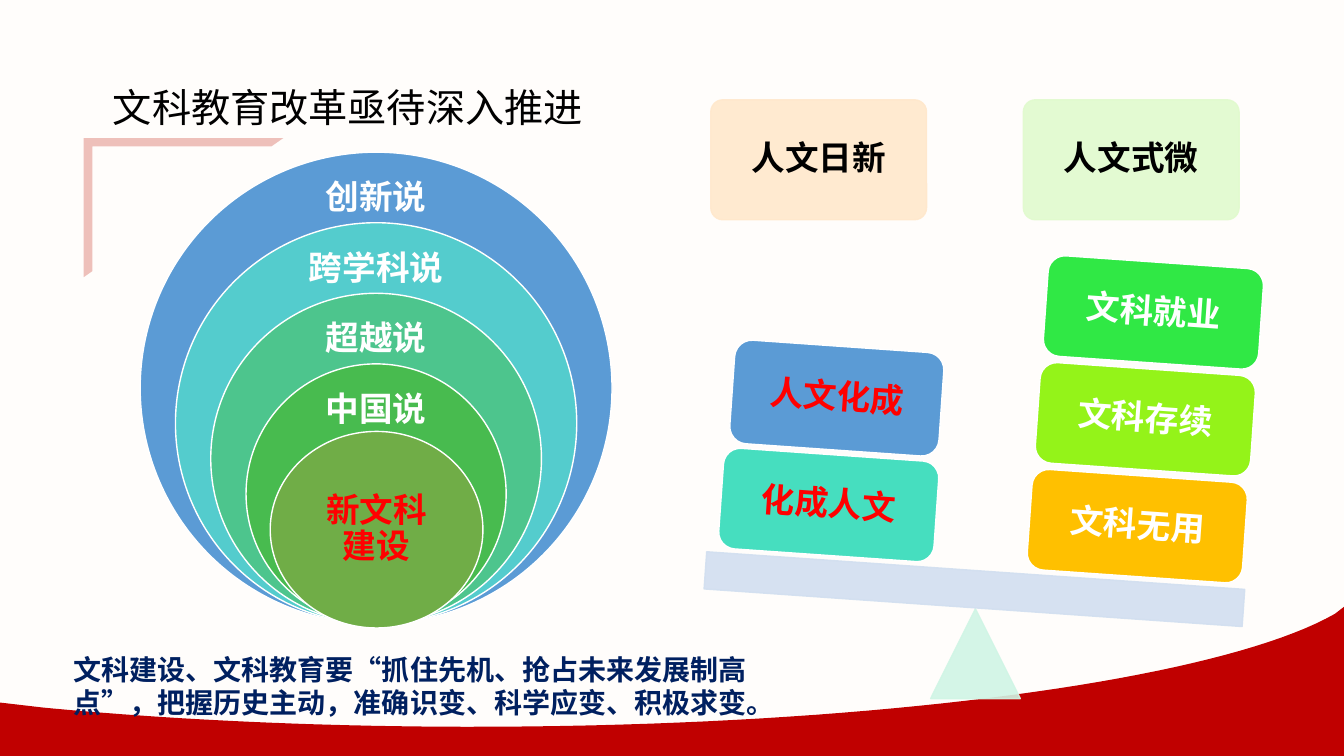
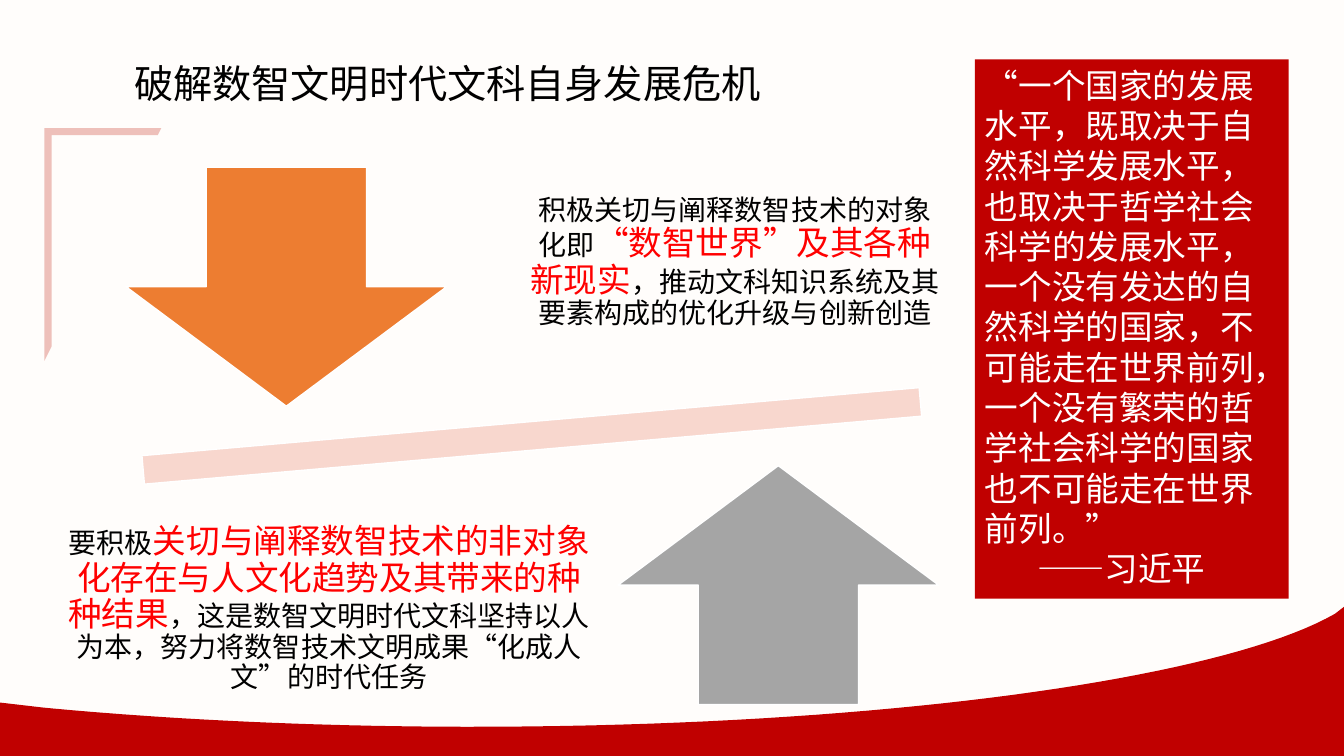
from collections import namedtuple

from lxml.etree import SubElement
from pptx import Presentation
from pptx.dml.color import RGBColor
from pptx.enum.lang import MSO_LANGUAGE_ID
from pptx.enum.shapes import MSO_SHAPE
from pptx.enum.text import MSO_ANCHOR, MSO_AUTO_SIZE, PP_ALIGN
from pptx.oxml.ns import qn
from pptx.util import Inches, Pt

Box = namedtuple("Box", "left top width height")

FONT = "Noto Sans CJK SC"
CREAM = RGBColor(0xFF, 0xFD, 0xFB)
CRIMSON = RGBColor(0xC0, 0x00, 0x00)
ROSE = RGBColor(0xEE, 0xC0, 0xBA)
WHITE = RGBColor(0xFF, 0xFF, 0xFF)
BLACK = RGBColor(0x00, 0x00, 0x00)
RED = RGBColor(0xFF, 0x00, 0x00)
NAVY = RGBColor(0x00, 0x20, 0x60)
BLUE = RGBColor(0x5B, 0x9B, 0xD5)
TEAL = RGBColor(0x54, 0xCC, 0xCD)
JADE = RGBColor(0x4D, 0xC5, 0x8D)
GREEN = RGBColor(0x48, 0xBB, 0x4F)
OLIVE = RGBColor(0x70, 0xAD, 0x47)
PEACH = RGBColor(0xFF, 0xE8, 0xCC)
PALE_LIME = RGBColor(0xE1, 0xFA, 0xCE)
MINT = RGBColor(0xD0, 0xF5, 0xE5)
PALE_BLUE = RGBColor(0xD2, 0xDF, 0xF0)
AMBER = RGBColor(0xFF, 0xC0, 0x00)
LIME = RGBColor(0x94, 0xF3, 0x19)
BRIGHT_GREEN = RGBColor(0x30, 0xE8, 0x45)
TURQUOISE = RGBColor(0x46, 0xDE, 0xBF)
BLUSH = RGBColor(0xF8, 0xD7, 0xCE)
ORANGE = RGBColor(0xED, 0x7D, 0x31)
GRAY = RGBColor(0xA5, 0xA5, 0xA5)

LABEL = {"size": Pt(24), "bold": True}
PLAIN = {"size": Pt(20), "bold": False}
STRESS = {"size": Pt(24), "bold": False}
HEADING = {"size": Pt(28), "bold": False}
STATEMENT = {"size": Pt(20), "bold": True}
CENTERED = {"alignment": PP_ALIGN.CENTER, "line_spacing": 0.9}
LEFT = {"alignment": PP_ALIGN.LEFT}


def apply_format(target, values):
    for name, value in values.items():
        setattr(target, name, value)


def inches(box):
    return [Inches(length) for length in box]


def write_spans(para, spans, para_format):
    apply_format(para, para_format)
    for text, span_format, color in spans:
        span = para.add_run()
        span.text = text
        apply_format(span.font, {"name": FONT, "language_id": MSO_LANGUAGE_ID.SIMPLIFIED_CHINESE, **span_format})
        span.font.color.rgb = color
        SubElement(span.font._element, qn("a:ea")).set("typeface", FONT)


def write_frame(shape, spans, para_format, anchor=MSO_ANCHOR.MIDDLE, inset=None):
    frame = shape.text_frame
    values = {"word_wrap": True, "auto_size": MSO_AUTO_SIZE.NONE, "vertical_anchor": anchor}
    if inset is not None:
        sides = ("left", "right", "top", "bottom")
        values.update({f"margin_{side}": Inches(inset) for side in sides})
    apply_format(frame, values)
    write_spans(frame.paragraphs[0], spans, para_format)


def add_text(page, box, spans, para_format, **frame_format):
    shape = page.shapes.add_textbox(*inches(box))
    write_frame(shape, spans, para_format, **frame_format)


def add_figure(page, kind, box, fill, line=None, rotation=0, opacity=None):
    shape = page.shapes.add_shape(kind, *inches(box))
    shape.shadow.inherit = False
    shape.rotation = rotation
    shape.fill.solid()
    shape.fill.fore_color.rgb = fill
    if line is None:
        shape.line.fill.background()
    else:
        shape.line.color.rgb = line
        shape.line.width = Pt(1)
    if opacity is not None:
        for color in shape._element.spPr.iter(qn("a:srgbClr")):
            SubElement(color, qn("a:alpha")).set("val", str(opacity * 1000))
    return shape


def curve(start, first, second, end, steps=40):
    for step in range(1, steps + 1):
        t = step / steps
        weights = ((1 - t) ** 3, 3 * t * (1 - t) ** 2, 3 * t ** 2 * (1 - t), t ** 3)
        corners = (start, first, second, end)
        yield tuple(sum(w * c[axis] for w, c in zip(weights, corners)) for axis in (0, 1))


def add_wave(page, box):
    points = [(0, 1.77), (0.43, 1.82)]
    points += curve((0.43, 1.82), (1.7, 1.94), (3.15, 2.01), (4.69, 2.01))
    points += curve((4.69, 2.01), (8.71, 2.01), (12.1, 1.54), (13.24, 0.89))
    points += [(box.width, 0.82), (box.width, box.height), (0, box.height)]
    outline = [(Inches(box.left + x), Inches(box.top + y)) for x, y in points]
    builder = page.shapes.build_freeform(*outline[0], scale=1.0)
    builder.add_line_segments(outline[1:], close=True)
    wave = builder.convert_to_shape()
    wave.shadow.inherit = False
    wave.fill.solid()
    wave.fill.fore_color.rgb = CRIMSON
    wave.line.fill.background()


def add_page(deck, title, title_box, corner_box, title_spacing=1.0):
    page = deck.slides.add_slide(deck.slide_layouts[5])
    add_wave(page, Box(0, 5.2, 13.33, 2.3))
    corner = add_figure(page, MSO_SHAPE.HALF_FRAME, corner_box, ROSE)
    corner.adjustments[0], corner.adjustments[1] = 0.06, 0.062
    heading = page.shapes.title
    apply_format(heading, dict(zip(Box._fields, inches(title_box))))
    write_frame(heading, [(title, HEADING, BLACK)], {**LEFT, "line_spacing": title_spacing}, anchor=MSO_ANCHOR.TOP)
    return page


def add_nested_circles(page, box):
    rings = (("创新说", BLUE), ("跨学科说", TEAL), ("超越说", JADE), ("中国说", GREEN))
    center = box.left + box.width / 2
    for index, (label, color) in enumerate(rings):
        size = box.width - 0.7 * index
        top = box.top + box.width - size
        ring = Box(center - size / 2, top, size, size)
        add_figure(page, MSO_SHAPE.OVAL, ring, color, WHITE)
        add_text(page, Box(center - 0.88, top + 0.23, 1.76, 0.46), [(label, LABEL, WHITE)], CENTERED, inset=0)
    core = Box(center - 1.05, box.top + 2.77, 2.11, 1.95)
    shape = add_figure(page, MSO_SHAPE.OVAL, core, OLIVE, WHITE)
    write_frame(shape, [("新文科建设", LABEL, RED)], CENTERED, inset=0.19)


def add_balance(page, box):
    for label, offset, color in (("人文日新", 0.06, PEACH), ("人文式微", 3.16, PALE_LIME)):
        head = Box(box.left + offset, box.top, 2.14, 1.19)
        shape = add_figure(page, MSO_SHAPE.ROUNDED_RECTANGLE, head, color, color, opacity=90)
        shape.adjustments[0] = 0.1
        write_frame(shape, [(label, LABEL, BLACK)], CENTERED, inset=0.1)
    pivot = Box(box.left + 2.24, box.top + 5.05, 0.89, 0.89)
    add_figure(page, MSO_SHAPE.ISOSCELES_TRIANGLE, pivot, MINT, MINT, opacity=90)
    beam = Box(box.left, box.top + 4.67, box.width, 0.37)
    add_figure(page, MSO_SHAPE.RECTANGLE, beam, PALE_BLUE, PALE_BLUE, 4, 90)
    stacks = (
        (4.29, 4.23, WHITE, (("文科无用", AMBER, 2.14, 1), ("文科存续", LIME, 2.14, 1), ("文科就业", BRIGHT_GREEN, 2.14, 1))),
        (1.23, 4.02, RED, (("化成人文", TURQUOISE, 2.14, 1), ("人文化成", BLUE, 2.08, 1.03))),
    )
    for x, y, ink, cards in stacks:
        for level, (label, color, width, height) in enumerate(cards):
            left = box.left + x + 0.08 * level - width / 2
            top = box.top + y - 1.06 * level - height / 2
            card = add_figure(page, MSO_SHAPE.ROUNDED_RECTANGLE, Box(left, top, width, height), color, WHITE, 4)
            write_frame(card, [(label, LABEL, ink)], CENTERED, inset=0.1)


def add_quote(page, box):
    panel = add_figure(page, MSO_SHAPE.RECTANGLE, box, CRIMSON)
    quote = (
        "“一个国家的发展水平，既取决于自然科学发展水平，也取决于哲学社会科学的发展水平，"
        "一个没有发达的自然科学的国家，不可能走在世界前列，"
        "一个没有繁荣的哲学社会科学的国家也不可能走在世界前列。”"
    )
    write_frame(panel, [(quote, STRESS, WHITE)], LEFT, anchor=MSO_ANCHOR.TOP)
    speaker = panel.text_frame.add_paragraph()
    write_spans(speaker, [("——习近平", STRESS, WHITE)], LEFT)
    speaker._p.get_or_add_pPr().set("marL", str(Inches(0.52)))


def add_opposing_arrows(page, box):
    bar = Box(box.left, box.top + 2.06, box.width, 1.21)
    add_figure(page, MSO_SHAPE.MATH_MINUS, bar, BLUSH, WHITE, 355)
    arrows = (
        (MSO_SHAPE.DOWN_ARROW, 1.24, 0, ORANGE),
        (MSO_SHAPE.UP_ARROW, 6.12, 2.96, GRAY),
    )
    for kind, x, y, color in arrows:
        add_figure(page, kind, Box(box.left + x, box.top + y, 3.18, 2.37), color, WHITE)
    notes = (
        (Box(box.left + 5.06, box.top - 0.02, 4.44, 1.94), (
            "积极关切与阐释数智技术的对象化即",
            "“数智世界”及其各种新现实",
            "，推动文科知识系统及其要素构成的优化升级与创新创造",
        )),
        (Box(box.left + 0.44, box.top + 3.14, 5.63, 2.49), (
            "要积极",
            "关切与阐释数智技术的非对象化存在与人文化趋势及其带来的种种结果",
            "，这是数智文明时代文科坚持以人为本，努力将数智技术文明成果“化成人文”的时代任务",
        )),
    )
    styles = ((PLAIN, BLACK), (STRESS, RED), (PLAIN, BLACK))
    for note_box, parts in notes:
        spans = [(text, *style) for text, style in zip(parts, styles)]
        add_text(page, note_box, spans, CENTERED, inset=0.16)


def build_reform_page(deck):
    page = add_page(deck, "文科教育改革亟待深入推进", Box(1.02, 0.54, 5.43, 0.81), Box(0.83, 1.37, 1.98, 1.38), 1.5)
    add_nested_circles(page, Box(1.39, 1.51, 4.68, 4.68))
    add_balance(page, Box(6.99, 0.99, 5.35, 5.94))
    statement = "文科建设、文科教育要“抓住先机、抢占未来发展制高点”，把握历史主动，准确识变、科学应变、积极求变。"
    add_text(page, Box(0.63, 6.42, 7.02, 0.77), [(statement, STATEMENT, NAVY)], LEFT, anchor=MSO_ANCHOR.TOP)


def build_crisis_page(deck):
    page = add_page(deck, "破解数智文明时代文科自身发展危机", Box(1.23, 0.54, 6.67, 0.57), Box(0.44, 1.27, 1.16, 2.31))
    add_quote(page, Box(9.67, 0.59, 3.11, 5.35))
    add_opposing_arrows(page, Box(0.01, 1.66, 10.53, 5.33))


def main():
    deck = Presentation()
    deck.slide_width, deck.slide_height = Inches(13.33), Inches(7.5)
    backdrop = deck.slide_master.background.fill
    backdrop.solid()
    backdrop.fore_color.rgb = CREAM
    build_reform_page(deck)
    build_crisis_page(deck)
    deck.save("out.pptx")


if __name__ == "__main__":
    main()
